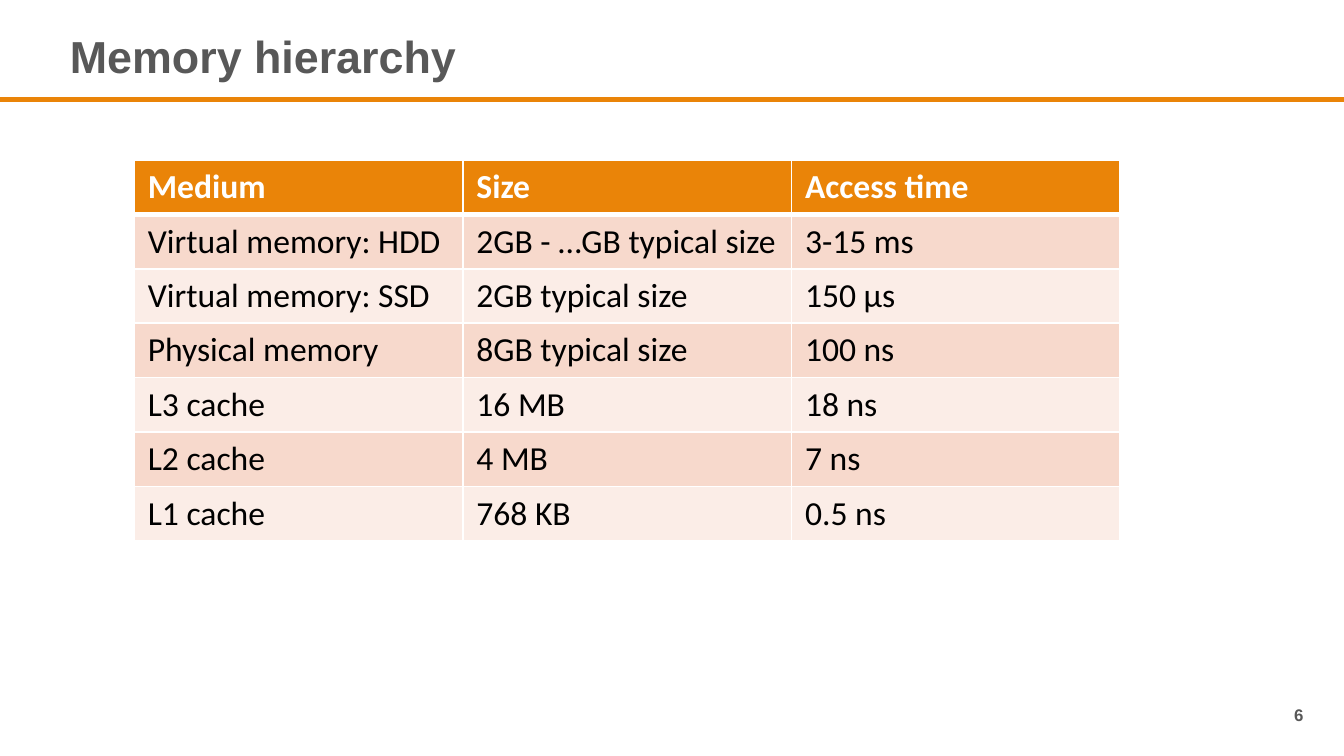
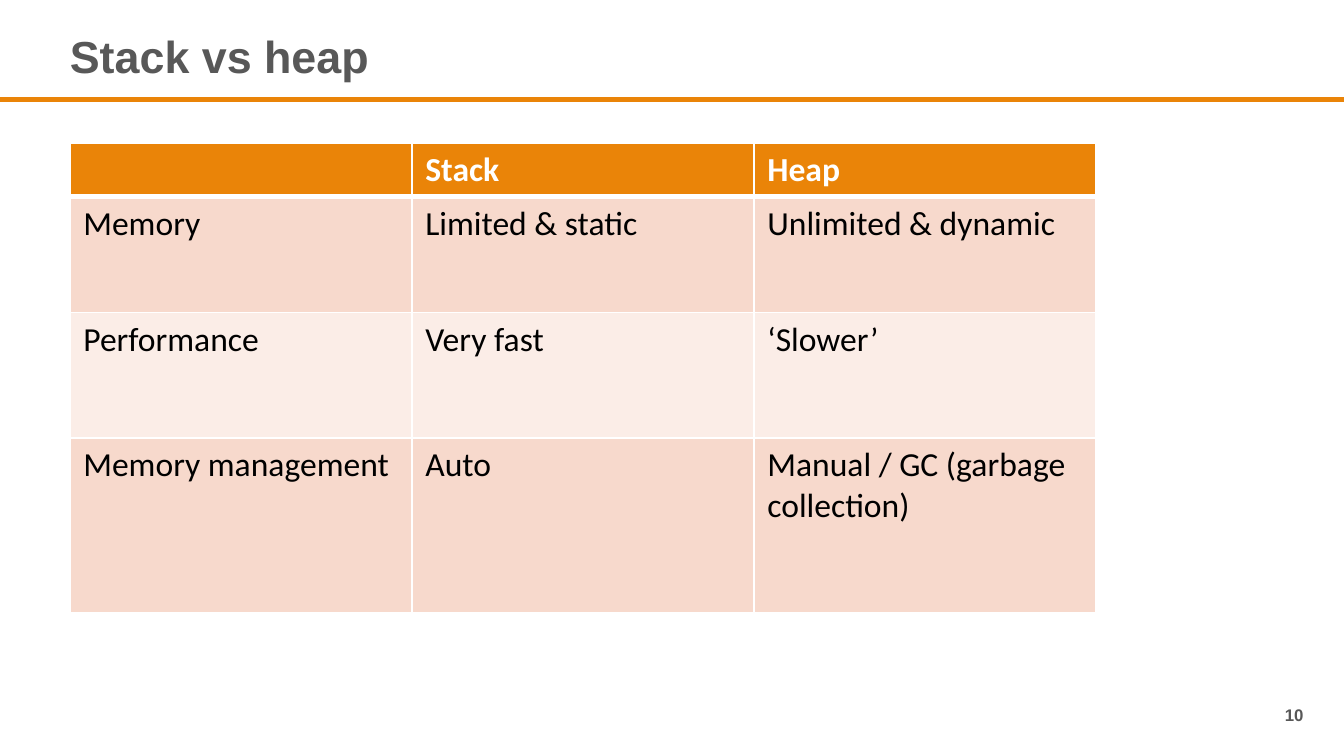
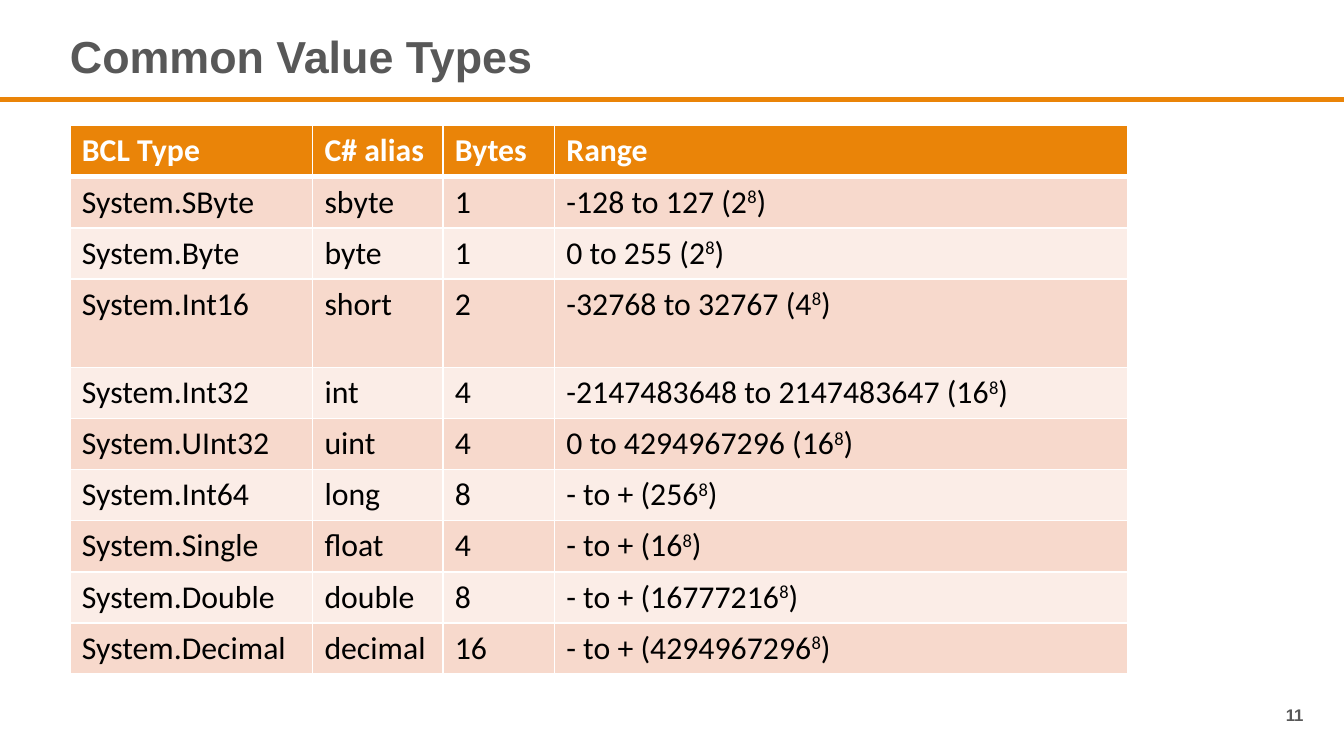
from dataclasses import dataclass

from lxml.etree import SubElement
from pptx import Presentation
from pptx.dml.color import RGBColor
from pptx.enum.shapes import MSO_CONNECTOR
from pptx.enum.text import MSO_ANCHOR, MSO_AUTO_SIZE, PP_ALIGN
from pptx.oxml.ns import qn
from pptx.util import Emu, Pt

# Scale: 200 px to the inch
PX = 4572
SLIDE_W, SLIDE_H = 2000, 1125

# Shared colours and fonts
ORANGE, GREY, WHITE, BLACK = "EA8408", "585858", "FFFFFF", "000000"
BANDS = ("F7D9CC", "FBEDE7")
HEAD_FONT, BODY_FONT = "Arial", "Calibri"
LEFT = 104
RULE_Y = 148


@dataclass
class TableSpec:
    left: int
    top: int
    cols: list[int]
    rows: list[int]
    cells: list[list[str]]  # text between ^ marks is superscript
    size: int = 18
    margin_x: int = 20
    margin_y: int = 10


@dataclass
class SlideSpec:
    title: str
    title_w: int
    number: int
    table: TableSpec


SLIDES = [
    SlideSpec("Memory hierarchy", 774, 6, TableSpec(
        200, 238, [489] * 3, [81] * 7,
        [["Medium", "Size", "Access time"],
         ["Virtual memory: HDD", "2GB - …GB typical size", "3-15 ms"],
         ["Virtual memory: SSD", "2GB typical size", "150 µs"],
         ["Physical memory", "8GB typical size", "100 ns"],
         ["L3 cache", "16 MB", "18 ns"],
         ["L2 cache", "4 MB", "7 ns"],
         ["L1 cache", "768 KB", "0.5 ns"]])),
    SlideSpec("Stack vs heap", 622, 10, TableSpec(
        LEFT, 213, [509] * 3, [74, 172, 187, 260],
        [["", "Stack", "Heap"],
         ["Memory", "Limited & static", "Unlimited & dynamic"],
         ["Performance", "Very fast", "‘Slower’"],
         ["Memory management", "Auto", "Manual / GC (garbage collection)"]])),
    SlideSpec("Common Value Types", 784, 11, TableSpec(
        LEFT, 187, [361, 194, 166, 853], [76] * 3 + [132] + [76] * 6,
        [["BCL Type", "C# alias", "Bytes", "Range"],
         ["System.SByte", "sbyte", "1", "-128 to 127 (2^8^)"],
         ["System.Byte", "byte", "1", "0 to 255 (2^8^)"],
         ["System.Int16", "short", "2", "-32768 to 32767 (4^8^)"],
         ["System.Int32", "int", "4", "-2147483648 to 2147483647 (16^8^)"],
         ["System.UInt32", "uint", "4", "0 to 4294967296 (16^8^)"],
         ["System.Int64", "long", "8", "- to + (256^8^)"],
         ["System.Single", "float", "4", "- to + (16^8^)"],
         ["System.Double", "double", "8", "- to + (16777216^8^)"],
         ["System.Decimal", "decimal", "16", "- to + (4294967296^8^)"]],
        size=17, margin_x=18, margin_y=9)),
]


def px(n: int) -> Emu:
    return Emu(n * PX)


def rgb(color: str) -> RGBColor:
    return RGBColor.from_string(color)


def add_run(p, text: str, font: str, size: int, color: str, bold: bool):
    r = p.add_run()
    r.text = text
    r.font.name, r.font.size, r.font.bold = font, Pt(size), bold
    r.font.color.rgb = rgb(color)
    return r


def set_insets(tf, left: int, top: int, right: int, bottom: int) -> None:
    tf.margin_left, tf.margin_top = px(left), px(top)
    tf.margin_right, tf.margin_bottom = px(right), px(bottom)


# Parts every slide has
def add_title(s, text: str, width: int) -> None:
    sp = s.shapes.title
    sp.left, sp.top, sp.width, sp.height = px(LEFT), px(36), px(width), px(72)
    tf = sp.text_frame
    tf.word_wrap = False
    tf.auto_size = MSO_AUTO_SIZE.NONE
    tf.vertical_anchor = MSO_ANCHOR.TOP
    set_insets(tf, 0, 7, 0, 0)
    p = tf.paragraphs[0]
    p.alignment = PP_ALIGN.LEFT
    add_run(p, text, HEAD_FONT, 24, GREY, True)


def add_rule(s) -> None:
    line = s.shapes.add_connector(
        MSO_CONNECTOR.STRAIGHT, 0, px(RULE_Y), px(SLIDE_W), px(RULE_Y))
    line.line.color.rgb = rgb(ORANGE)
    line.line.width = Pt(3)
    SubElement(line._element.spPr, qn("a:effectLst"))


def add_number(s, number: int) -> None:
    tf = s.shapes.add_textbox(px(1902), px(1040), px(46), px(46)).text_frame
    tf.word_wrap = False
    tf.auto_size = MSO_AUTO_SIZE.SHAPE_TO_FIT_TEXT
    set_insets(tf, 8, 8, 8, 8)
    p = tf.paragraphs[0]
    p.alignment = PP_ALIGN.RIGHT
    add_run(p, str(number), HEAD_FONT, 9, GREY, True)


# Tables
def set_border(tc_pr, index: int, side: str, width: int) -> None:
    ln = tc_pr.makeelement(qn(f"a:ln{side}"), {"w": str(Pt(width))})
    fill = SubElement(ln, qn("a:solidFill"))
    SubElement(fill, qn("a:srgbClr"), val=WHITE)
    tc_pr.insert(index, ln)  # borders come before the fill


def fill_cell(cell, text: str, row: int, spec: TableSpec) -> None:
    header = row == 0
    cell.fill.solid()
    cell.fill.fore_color.rgb = rgb(ORANGE if header else BANDS[(row - 1) % 2])
    set_insets(cell, spec.margin_x, spec.margin_y, spec.margin_x, spec.margin_y)
    widths = {"L": 1, "R": 1, "T": 3 if row == 1 else 1, "B": 3 if header else 1}
    for i, (side, width) in enumerate(widths.items()):
        set_border(cell._tc.get_or_add_tcPr(), i, side, width)
    if not text:
        return
    p = cell.text_frame.paragraphs[0]
    for i, part in enumerate(text.split("^")):
        r = add_run(p, part, BODY_FONT, spec.size,
                    WHITE if header else BLACK, header)
        if i % 2:
            r.font._element.set("baseline", "30000")


def add_data_table(s, spec: TableSpec) -> None:
    table = s.shapes.add_table(
        len(spec.rows), len(spec.cols), px(spec.left), px(spec.top),
        px(sum(spec.cols)), px(sum(spec.rows))).table
    table.horz_banding = False
    for col, width in zip(table.columns, spec.cols):
        col.width = px(width)
    for i, (row, height) in enumerate(zip(table.rows, spec.rows)):
        row.height = px(height)
        for cell, text in zip(row.cells, spec.cells[i]):
            fill_cell(cell, text, i, spec)


def main() -> None:
    prs = Presentation()
    prs.slide_width, prs.slide_height = px(SLIDE_W), px(SLIDE_H)
    title_only = prs.slide_layouts[5]
    for spec in SLIDES:
        s = prs.slides.add_slide(title_only)
        add_number(s, spec.number)
        add_rule(s)
        add_title(s, spec.title, spec.title_w)
        add_data_table(s, spec.table)
    prs.save("out.pptx")


if __name__ == "__main__":
    main()
